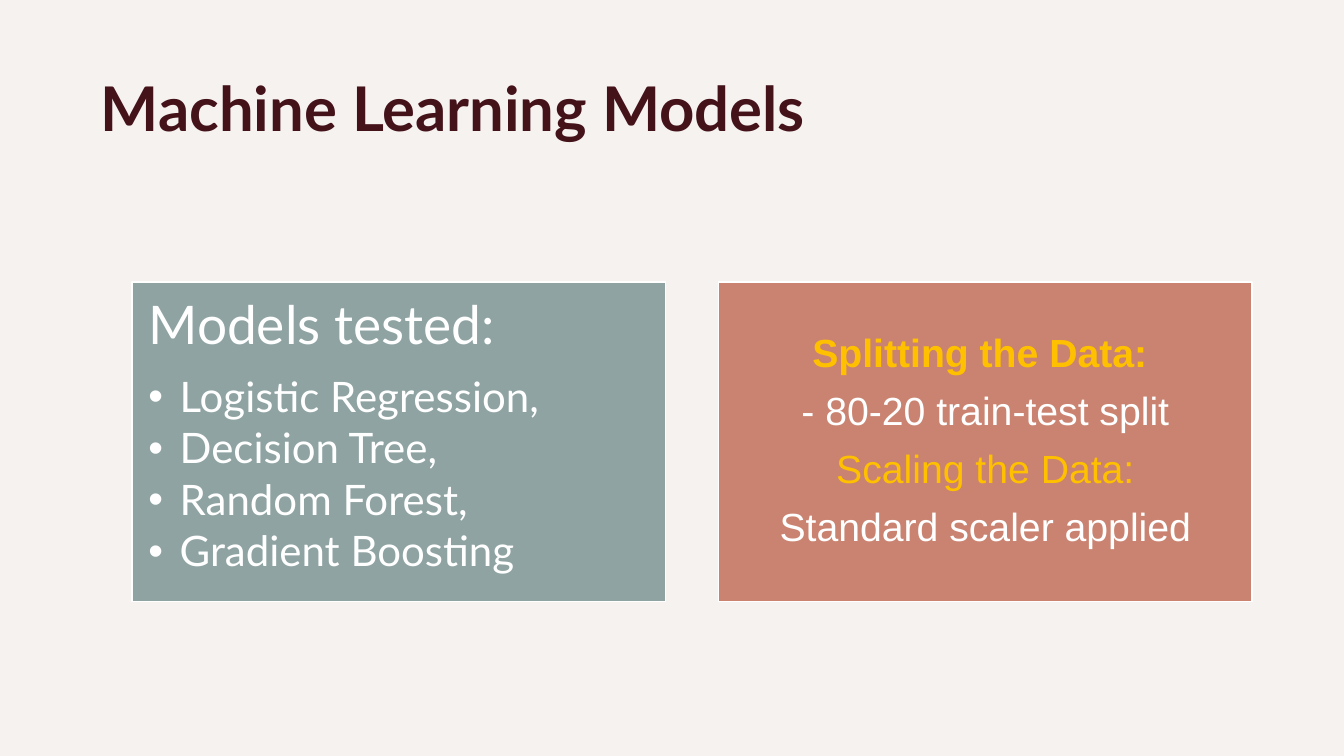
from lxml.etree import SubElement
from pptx import Presentation
from pptx.dml.color import RGBColor
from pptx.enum.shapes import MSO_SHAPE
from pptx.enum.text import MSO_ANCHOR, PP_ALIGN
from pptx.oxml.ns import qn
from pptx.util import Cm, Pt

WHITE, GOLD = "FFFFFF", "FFC000"


def paint(fill, code):
    fill.solid()
    fill.fore_color.rgb = RGBColor.from_string(code)


def setup(frame, pad, anchor=MSO_ANCHOR.TOP):
    """Wrap the text and give the frame equal insets."""
    frame.word_wrap = True
    frame.vertical_anchor = anchor
    frame.margin_left = frame.margin_right = Cm(pad)
    frame.margin_top = frame.margin_bottom = Cm(pad)


def write(frame, text, font="Lato", size=30, color=WHITE, bold=False,
          align=PP_ALIGN.LEFT, line=0.9, after=0, bullet=False):
    """Add one paragraph, filling the empty first one if there is one."""
    para = frame.paragraphs[0]
    if para.runs:
        para = frame.add_paragraph()
    para.alignment, para.line_spacing = align, line
    para.space_after = Pt(after)
    if bullet:
        para.level = 1
        props = para._p.get_or_add_pPr()
        props.set("marL", str(Cm(0.79)))
        props.set("indent", str(-Cm(0.79)))
        SubElement(props, qn("a:buFont"), typeface="Arial")
        SubElement(props, qn("a:buChar"), char="•")
    run = para.add_run()
    run.text = text
    run.font.name, run.font.size, run.font.bold = font, Pt(size), bold
    run.font.color.rgb = RGBColor.from_string(color)


def panel(slide, box, color):
    rect = slide.shapes.add_shape(MSO_SHAPE.RECTANGLE, *map(Cm, box))
    rect.shadow.inherit = False
    paint(rect.fill, color)
    paint(rect.line.fill, WHITE)
    rect.line.width = Pt(1)
    return rect.text_frame


def title(slide, box):
    frame = slide.shapes.add_textbox(*map(Cm, box)).text_frame
    setup(frame, 0.2)
    write(frame, "Machine Learning Models", size=44, color="44131A",
          bold=True, line=1)


def models(slide, box):
    frame = panel(slide, box, "8FA3A3")
    setup(frame, 0.41)
    write(frame, "Models tested:", size=38, after=14.5)
    for name in ("Logistic Regression,", "Decision Tree,",
                 "Random Forest,", "Gradient Boosting"):
        write(frame, name, after=4.4, bullet=True)


def data(slide, box):
    frame = panel(slide, box, "CA8370")
    setup(frame, 0.3, MSO_ANCHOR.MIDDLE)
    for text, color, bold in (
            ("Splitting the Data: ", GOLD, True),
            ("- 80-20 train-test split", WHITE, False),
            ("Scaling the Data:", GOLD, False),
            ("Standard scaler applied", WHITE, False)):
        write(frame, text, font="Arial", size=28, color=color, bold=bold,
              align=PP_ALIGN.CENTER, after=11)


def main():
    deck = Presentation()
    deck.slide_width, deck.slide_height = Cm(33.87), Cm(19.05)
    slide = deck.slides.add_slide(deck.slide_layouts[6])
    paint(slide.background.fill, "F6F2F0")
    title(slide, (2.34, 1.55, 28.75, 3.56))
    left, top, width, height, gap = 3.33, 7.11, 13.44, 8.05, 1.34
    models(slide, (left, top, width, height))
    data(slide, (left + width + gap, top, width, height))
    deck.save("out.pptx")


if __name__ == "__main__":
    main()
